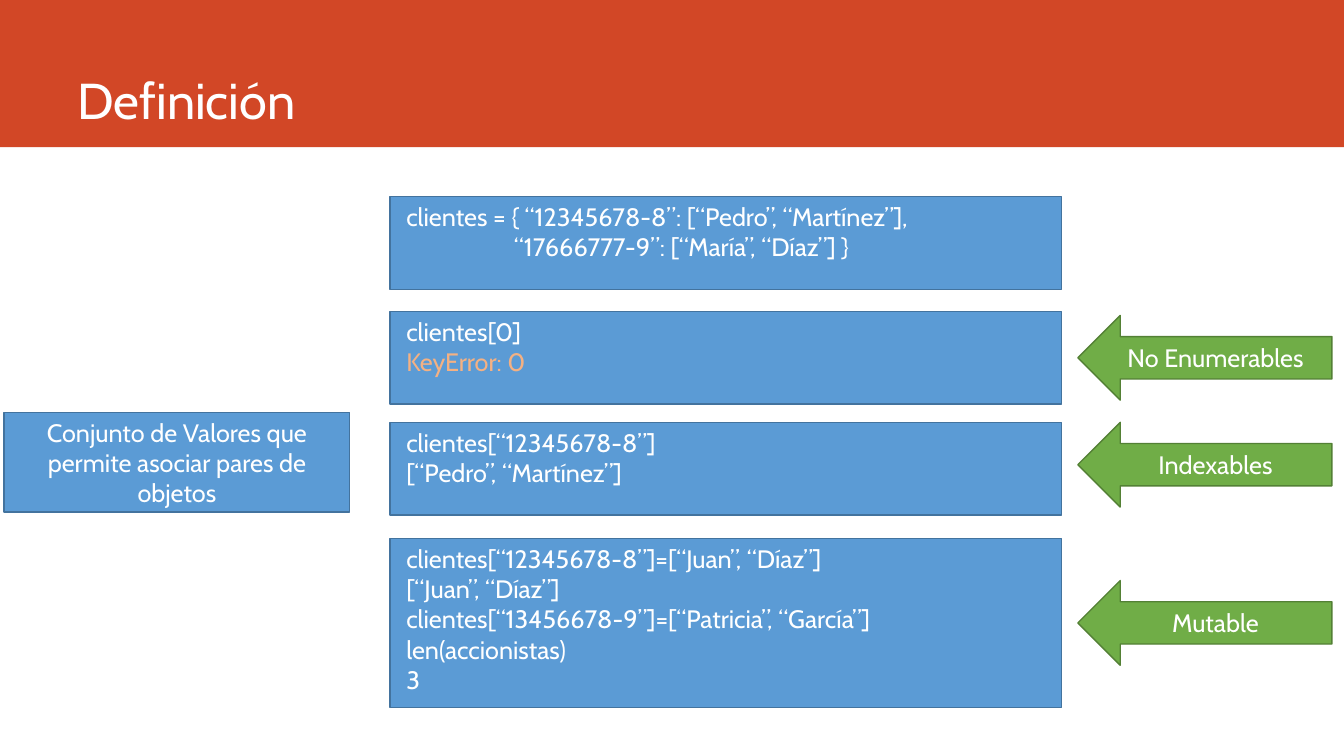
from pptx import Presentation
from pptx.dml.color import RGBColor
from pptx.enum.shapes import MSO_SHAPE
from pptx.enum.text import MSO_ANCHOR, PP_ALIGN
from pptx.util import Inches, Pt

RECT, ARROW = MSO_SHAPE.RECTANGLE, MSO_SHAPE.LEFT_ARROW
TOP, MID, LOW = MSO_ANCHOR.TOP, MSO_ANCHOR.MIDDLE, MSO_ANCHOR.BOTTOM
LEFT, MIDDLE = PP_ALIGN.LEFT, PP_ALIGN.CENTER
COLORS = {"band": "D24726", "blue": "5B9BD5", "edge": "43739E", "green": "70AD47",
          "rim": "538035", "text": "FFFFFF", "error": "F4B183"}
FONT = {"name": "Cabin", "size": Pt(18), "bold": False}
ERROR = "KeyError: 0"
CODE = [
    (1.95, 0.92, ["clientes = { “12345678-8”: [“Pedro”, “Martínez”],",
                  "                   “17666777-9”: [“María”, “Díaz”] }"]),
    (3.09, 0.92, ["clientes[0]", ERROR]),
    (4.19, 0.92, ["clientes[“12345678-8”]", "[“Pedro”, “Martínez”]"]),
    (5.34, 1.68, ["clientes[“12345678-8”]=[“Juan”, “Díaz”]", "[“Juan”, “Díaz”]",
                  "clientes[“13456678-9”]=[“Patricia”, “García”]",
                  "len(accionistas)", "3"]),
]
TRAITS = [(3.13, "No Enumerables"), (4.19, "Indexables"), (5.76, "Mutable")]


def color(key):
    """Return the named colour."""
    return RGBColor.from_string(COLORS[key])


def style(font, key="text", **extra):
    """Apply the slide's font values and a colour."""
    for name, value in {**FONT, **extra}.items():
        setattr(font, name, value)
    font.color.rgb = color(key)


def block(slide, kind, box, fill, edge=None):
    """Add a flat filled shape in the box."""
    shape = slide.shapes.add_shape(kind, *map(Inches, box))
    shape.shadow.inherit = False
    shape.fill.solid()
    shape.fill.fore_color.rgb = color(fill)
    if edge:
        shape.line.color.rgb = color(edge)
        shape.line.width = Pt(1)
    else:
        shape.line.fill.background()
    return shape


def write(shape, lines, align, anchor, inset=0.1):
    """Write one paragraph per line in the shape."""
    frame = shape.text_frame
    frame.word_wrap = True
    frame.vertical_anchor = anchor
    frame.margin_left = Inches(inset)
    frame.text = "\n".join(lines)
    for para in frame.paragraphs:
        para.alignment = align
        style(para.runs[0].font, "error" if para.text == ERROR else "text")


def header(slide, box):
    """Place the title over a coloured band."""
    left, top, width, height = box
    band = block(slide, RECT, box, "band")
    slide.shapes._spTree.insert(2, band._element)
    title = slide.shapes.title
    title.left, title.top = Inches(left + 0.67), Inches(top)
    title.width, title.height = Inches(width - 1.58), Inches(height - 0.12)
    write(title, ["Definición"], LEFT, LOW)
    style(title.text_frame.paragraphs[0].runs[0].font, size=Pt(36))


def meaning(slide, box):
    """Place the definition."""
    shape = block(slide, RECT, box, "blue", "edge")
    write(shape, ["Conjunto de Valores que permite asociar pares de objetos"], MIDDLE, MID)


def samples(slide, left, width):
    """Stack the code samples in a column."""
    for top, height, lines in CODE:
        shape = block(slide, RECT, (left, top, width, height), "blue", "edge")
        write(shape, lines, LEFT, TOP, 0.16)


def traits(slide, left, width, height):
    """Place the arrows that name each trait."""
    for top, label in TRAITS:
        shape = block(slide, ARROW, (left, top, width, height), "green", "rim")
        write(shape, [label], MIDDLE, MID)


def main():
    """Build and save the slide."""
    deck = Presentation()
    deck.slide_width, deck.slide_height = Inches(13.33), Inches(7.5)
    slide = deck.slides.add_slide(deck.slide_layouts[5])
    header(slide, (0, 0, 13.33, 1.46))
    meaning(slide, (0.04, 4.09, 3.43, 0.99))
    samples(slide, 3.87, 6.66)
    traits(slide, 10.69, 2.52, 0.84)
    deck.save("out.pptx")


if __name__ == "__main__":
    main()
